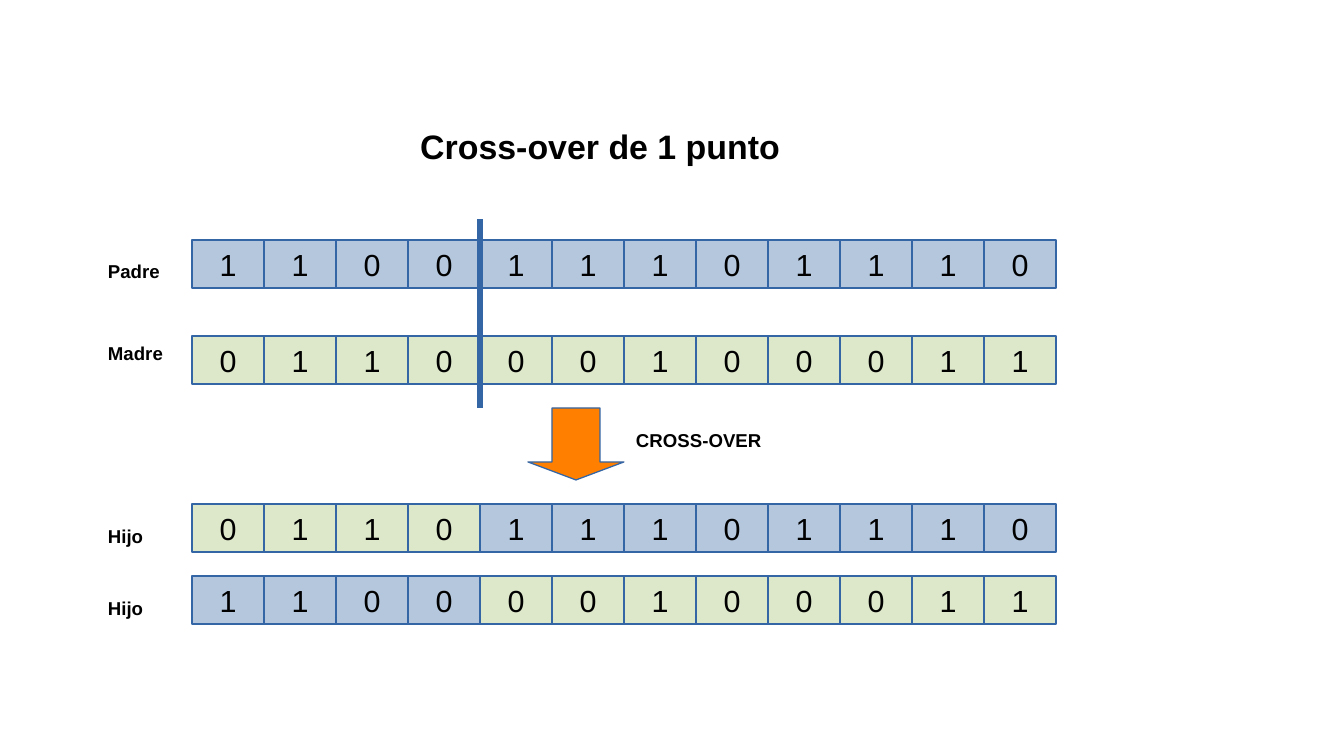
"""Build a slide that shows one-point cross-over of two parents."""
import pptx
import pptx.util
import pptx.dml.color
import pptx.enum.shapes
import pptx.enum.text
import pptx.oxml

Cm, Pt = pptx.util.Cm, pptx.util.Pt
SHAPE = pptx.enum.shapes.MSO_SHAPE
ALIGN = pptx.enum.text.PP_ALIGN
ANCHOR = pptx.enum.text.MSO_ANCHOR

TITLE = "Cross-over de 1 punto"
STEP = "CROSS-OVER"
DAD = "110011101110"
MOM = "011000100011"
CUT = 4
COLORS = {"dad": "B4C7DC", "mom": "DDE8CB", "line": "3465A4",
          "arrow": "FF8000", "text": "000000"}
dad = [(bit, "dad") for bit in DAD]
mom = [(bit, "mom") for bit in MOM]
ROWS = [
    ("Padre", 5, 5.3, 2, dad),
    ("Madre", 7, 7, 2, mom),
    ("Hijo", 10.5, 10.82, 1.5, mom[:CUT] + dad[CUT:]),
    ("Hijo", 12, 12.32, 1.5, dad[:CUT] + mom[CUT:]),
]
LEFT, WIDE, HIGH = 4, 1.5, 1


def color(name):
    return pptx.dml.color.RGBColor.from_string(COLORS[name])


def write(shape, text, size, bold=False, align=ALIGN.LEFT, anchor=ANCHOR.TOP):
    frame = shape.text_frame
    frame.word_wrap = True
    frame.auto_size = pptx.enum.text.MSO_AUTO_SIZE.NONE
    frame.vertical_anchor = anchor
    par = frame.paragraphs[0]
    par.alignment = align
    run = par.add_run()
    run.text = text
    run.font.name = "Arial"
    run.font.size = Pt(size)
    run.font.bold = bold
    run.font.color.rgb = color("text")


def label(slide, text, x, y, wide):
    box = slide.shapes.add_textbox(Cm(x), Cm(y), Cm(wide), Cm(0.69))
    write(box, text, 11, bold=True)


def block(slide, kind, x, y, wide, high, fill, line):
    shape = slide.shapes.add_shape(kind, Cm(x), Cm(y), Cm(wide), Cm(high))
    shape.shadow.inherit = False
    shape.fill.solid()
    shape.fill.fore_color.rgb = color(fill)
    shape.line.color.rgb = color("line")
    shape.line.width = Pt(line)
    return shape


def strand(slide, y, genes):
    for i, (bit, fill) in enumerate(genes):
        cell = block(slide, SHAPE.RECTANGLE, LEFT + i * WIDE, y,
                     WIDE, HIGH, fill, 1.5)
        write(cell, bit, 18, align=ALIGN.CENTER, anchor=ANCHOR.MIDDLE)


def main():
    deck = pptx.Presentation()
    deck.slide_width, deck.slide_height = Cm(28), Cm(15.75)
    slide = deck.slides.add_slide(deck.slide_layouts[5])

    title = slide.shapes.title
    title.left, title.top = Cm(8.5), Cm(2.5)
    title.width, title.height = Cm(8.5), Cm(1.04)
    write(title, TITLE, 20, bold=True)

    for name, y, text_y, wide, genes in ROWS:
        strand(slide, y, genes)
        label(slide, name, 2, text_y, wide)

    x = Cm(LEFT + CUT * WIDE)
    cut = slide.shapes.add_connector(
        pptx.enum.shapes.MSO_CONNECTOR.STRAIGHT, x, Cm(4.57), x, Cm(8.5))
    cut.line.color.rgb = color("line")
    cut.line.width = Pt(3)
    props = cut.element.spPr
    props.append(pptx.oxml.parse_xml(
        '<a:effectLst xmlns:a='
        '"http://schemas.openxmlformats.org/drawingml/2006/main"/>'))

    arrow = block(slide, SHAPE.DOWN_ARROW, 11, 8.5, 2, 1.5, "arrow", 0)
    arrow.adjustments[0] = 0.5
    arrow.adjustments[1] = 0.25
    label(slide, STEP, 13, 8.81, 3.5)

    deck.save("out.pptx")


if __name__ == "__main__":
    main()
